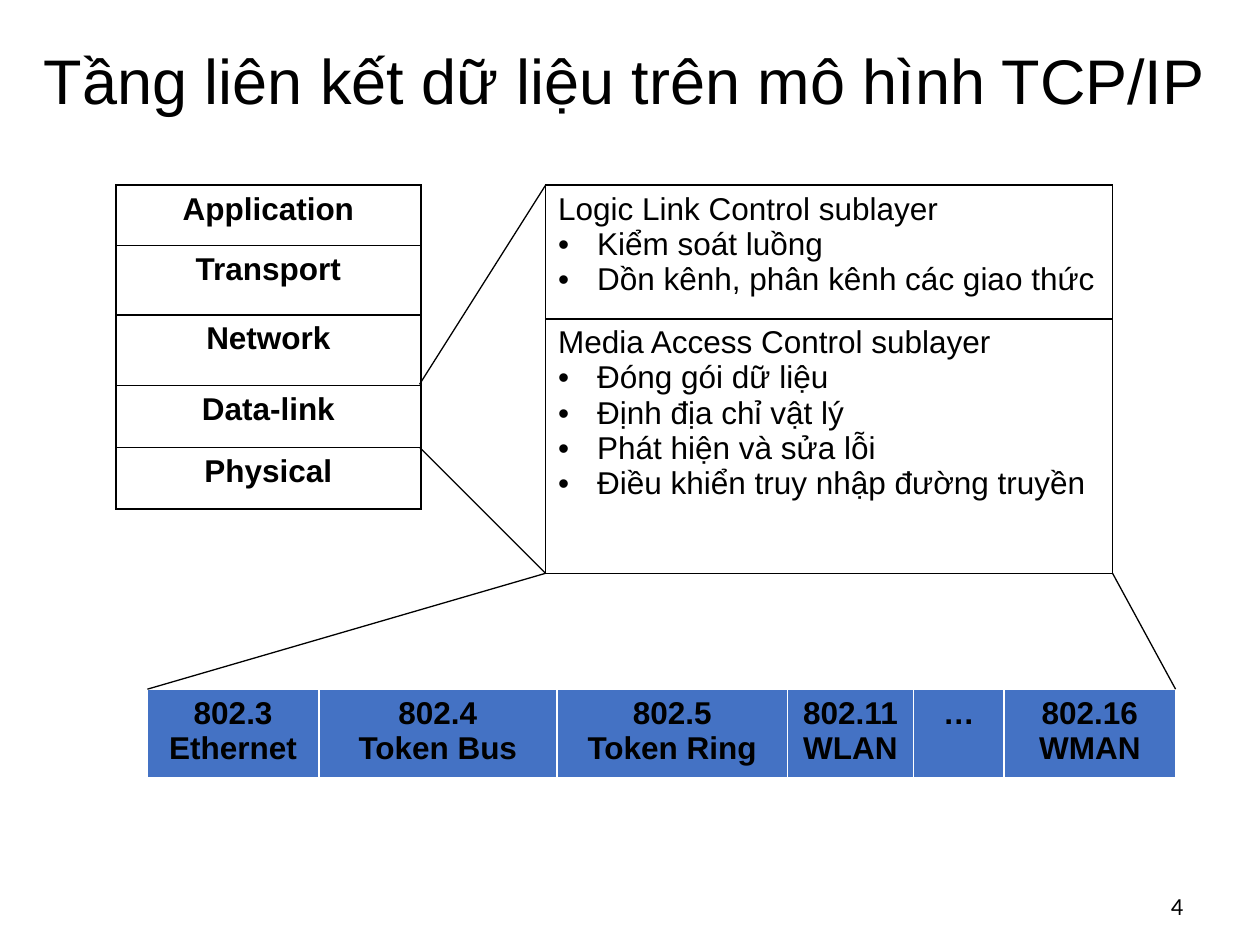
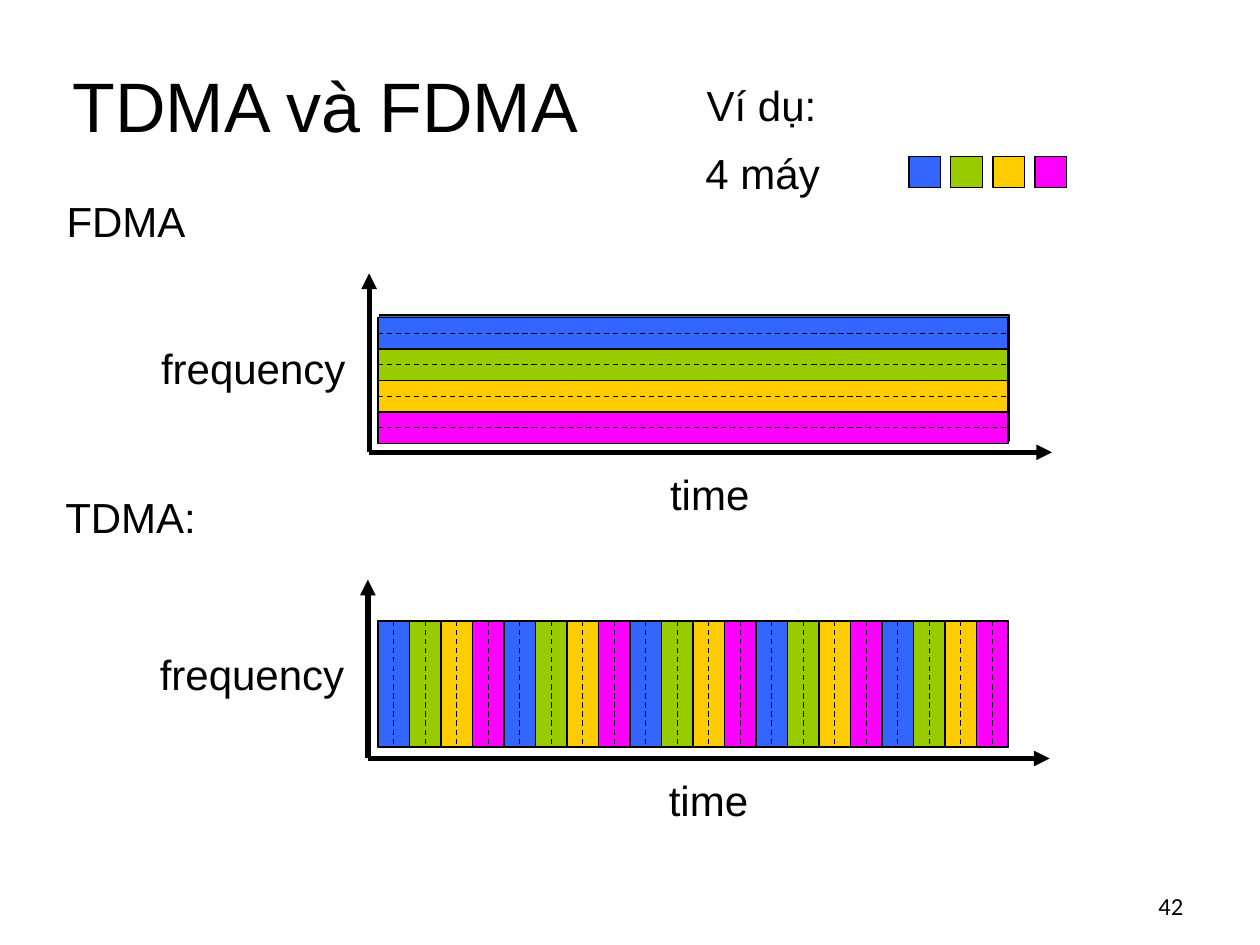
from itertools import accumulate
from lxml import etree
from pptx import Presentation
from pptx import util as u
from pptx.dml.color import RGBColor
from pptx.enum import dml, shapes, text
from pptx.oxml import ns

SCALE = 9144
BLACK, WHITE, BLUE = "000000", "FFFFFF", "4472C4"
BODY_FONT, NUMBER_FONT = "Arial", "Calibri"
NUMBER_BOX = (886, 699, 63, 40)
HANGING = 31
STATIONS = ["3366FF", "99CC00", "FFCC00", "FF00FF"]

LAYERS = [["Application"], ["Transport"], ["Network"], ["Data-link"], ["Physical"]]
SUBLAYERS = [
    ["Logic Link Control sublayer", "• Kiểm soát luồng", "• Dồn kênh, phân kênh các giao thức"],
    ["Media Access Control sublayer", "• Đóng gói dữ liệu", "• Định địa chỉ vật lý",
     "• Phát hiện và sửa lỗi", "• Điều khiển truy nhập đường truyền"],
]
STANDARDS = [["802.3", "Ethernet"], ["802.4", "Token Bus"], ["802.5", "Token Ring"],
             ["802.11", "WLAN"], ["…"], ["802.16", "WMAN"]]

ZOOM_LINES = [((333, 305), (433, 147)), ((333, 355), (433, 455)),
              ((433, 455), (117, 547)), ((883, 455), (933, 547))]

DIAGRAMS = [
    dict(heading="FDMA", heading_top=150, origin=(293, 359), reach=542,
         slots=(300, 252), count=4, size=(500, 25), step=(0, 25), across=(500, 0)),
    dict(heading="TDMA:", heading_top=385, origin=(292, 602), reach=541,
         slots=(300, 493), count=20, size=(25, 100), step=(25, 0), across=(0, 100)),
]


def emu(px):
    return u.Emu(round(px * SCALE))


def color(value):
    return RGBColor.from_string(value)


def add_xml(parent, tag, **attributes):
    return etree.SubElement(parent, ns.qn(tag), attributes)


def add_text(para, words, size, font=BODY_FONT, bold=False):
    span = para.add_run()
    span.text = words
    span.font.size = u.Pt(size)
    span.font.name = font
    span.font.bold = bold
    span.font.color.rgb = color(BLACK)


def add_box(page, area, words, size, font=BODY_FONT, wrap=False,
            anchor=text.MSO_ANCHOR.TOP, align=text.PP_ALIGN.LEFT, spacing=None):
    box = page.shapes.add_textbox(*map(emu, area))
    frame = box.text_frame
    frame.word_wrap = wrap
    frame.vertical_anchor = anchor
    para = frame.paragraphs[0]
    para.alignment = align
    para.line_spacing = spacing
    add_text(para, words, size, font)


def add_page(deck, title, title_area, title_size, number):
    page = deck.slides.add_slide(deck.slide_layouts[6])
    page.background.fill.solid()
    page.background.fill.fore_color.rgb = color(WHITE)
    middle = text.MSO_ANCHOR.MIDDLE
    add_box(page, title_area, title, title_size, wrap=True, anchor=middle, spacing=0.9)
    add_box(page, NUMBER_BOX, number, 14, NUMBER_FONT, True, middle, text.PP_ALIGN.RIGHT)
    return page


def add_line(page, start, end, width=0.75, dashed=False, arrow=False):
    line = page.shapes.add_connector(shapes.MSO_CONNECTOR.STRAIGHT, *map(emu, (*start, *end)))
    line.line.color.rgb = color(BLACK)
    line.line.width = u.Pt(width)
    if dashed:
        line.line.dash_style = dml.MSO_LINE.DASH
    if arrow:
        add_xml(line.line._get_or_add_ln(), "a:tailEnd", type="triangle")
    add_xml(line._element.spPr, "a:effectLst")


def add_rect(page, area, fill):
    rect = page.shapes.add_shape(shapes.MSO_SHAPE.RECTANGLE, *map(emu, area))
    rect.shadow.inherit = False
    rect.fill.solid()
    rect.fill.fore_color.rgb = color(fill)
    rect.line.color.rgb = color(BLACK)
    rect.line.width = u.Pt(0.75)


def set_borders(cell, value):
    props = cell._tc.get_or_add_tcPr()
    for side in ("a:lnL", "a:lnR", "a:lnT", "a:lnB"):
        border = add_xml(props, side, w=str(u.Pt(1)))
        add_xml(add_xml(border, "a:solidFill"), "a:srgbClr", val=value)


def fill_cell(cell, lines, centred, bold):
    for index, words in enumerate(lines):
        frame = cell.text_frame
        para = frame.add_paragraph() if index else frame.paragraphs[0]
        para.alignment = text.PP_ALIGN.CENTER if centred else text.PP_ALIGN.LEFT
        if words.startswith("• "):
            props = para._p.get_or_add_pPr()
            props.set("marL", str(emu(HANGING)))
            props.set("indent", str(emu(-HANGING)))
            add_xml(add_xml(props, "a:buClr"), "a:srgbClr", val=BLACK)
            add_xml(props, "a:buFont", typeface=BODY_FONT)
            add_xml(props, "a:buChar", char="•")
        add_text(para, words.removeprefix("• "), 18, bold=bold)


def add_grid(page, corner, widths, heights, entries, border, fill=None, heading=True):
    area = (*corner, sum(widths), sum(heights))
    grid = page.shapes.add_table(len(heights), len(widths), *map(emu, area)).table
    grid.first_row = grid.horz_banding = False
    for column, width in zip(grid.columns, widths):
        column.width = emu(width)
    for row, height in zip(grid.rows, heights):
        row.height = emu(height)
    for cell, lines in zip(grid.iter_cells(), entries):
        set_borders(cell, border)
        if fill:
            cell.fill.solid()
            cell.fill.fore_color.rgb = color(fill)
        else:
            cell.fill.background()
        fill_cell(cell, lines, centred=heading, bold=heading)


def add_diagram(page, heading, heading_top, origin, reach, slots, count, size, step, across):
    x, y = origin
    add_box(page, (x - 250, heading_top, 130, 50), heading, 24)
    add_line(page, origin, (x, y - 142), 3, arrow=True)
    add_box(page, (x - 175, y - 92, 167, 50), "frequency", 24)
    add_line(page, origin, (x + reach, y), 3, arrow=True)
    add_box(page, (x + 229, y + 8, 83, 50), "time", 24)
    add_rect(page, (x + 8, y - 109, 500, 100), BLUE)

    def slot_corner(index):
        return tuple(start + index * gap for start, gap in zip(slots, step))

    def add_divider(index, dashed):
        start = slot_corner(index)
        end = tuple(map(sum, zip(start, across)))
        add_line(page, start, end, dashed=dashed)

    for index in range(count):
        add_rect(page, (*slot_corner(index), *size), STATIONS[index % len(STATIONS)])
    for index in range(1, count):
        add_divider(index, False)
    for index in range(count):
        add_divider(index + 0.5, True)


def build_model_page(deck):
    page = add_page(deck, "Tầng liên kết dữ liệu trên mô hình TCP/IP", (25, 26, 950, 81), 36, "4")
    add_grid(page, (92, 147), [242], [48, 55, 56, 49, 49], LAYERS, BLACK)
    add_grid(page, (433, 147), [450], [106, 202], SUBLAYERS, BLACK, heading=False)
    add_grid(page, (117, 547), [136, 189, 183, 100, 72, 136], [41], STANDARDS, WHITE, BLUE)
    for start, end in ZOOM_LINES:
        add_line(page, start, end)


def build_sharing_page(deck):
    page = add_page(deck, "TDMA và FDMA", (48, 25, 926, 125), 40, "42")
    for diagram in DIAGRAMS:
        add_diagram(page, **diagram)
    add_box(page, (551, 58, 107, 50), "Ví dụ:", 24)
    add_box(page, (550, 112, 111, 50), "4 máy", 24)
    lefts = accumulate([33.33] * (len(STATIONS) - 1), initial=721.33)
    for left, fill in zip(lefts, STATIONS):
        add_rect(page, (left, 124, 25, 25), fill)


def main():
    deck = Presentation()
    deck.slide_width, deck.slide_height = emu(1000), emu(750)
    build_model_page(deck)
    build_sharing_page(deck)
    deck.save("out.pptx")


if __name__ == "__main__":
    main()
